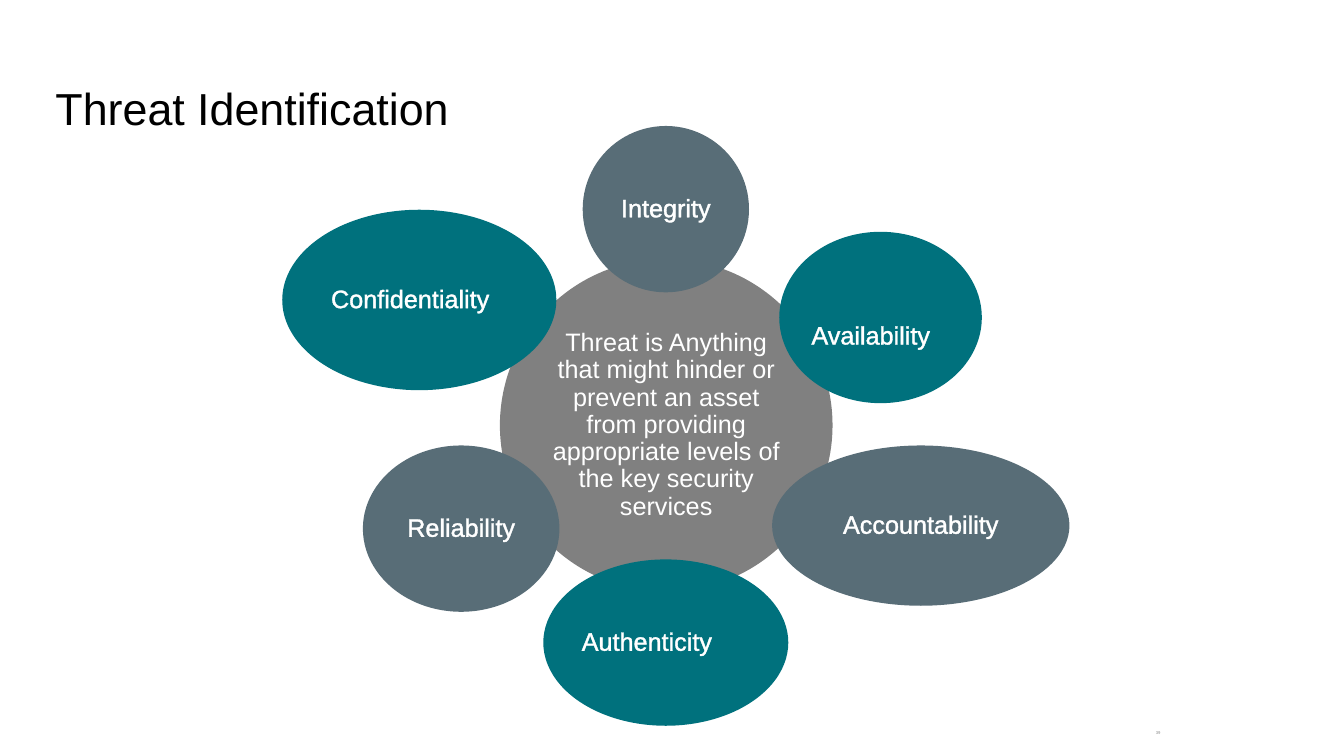
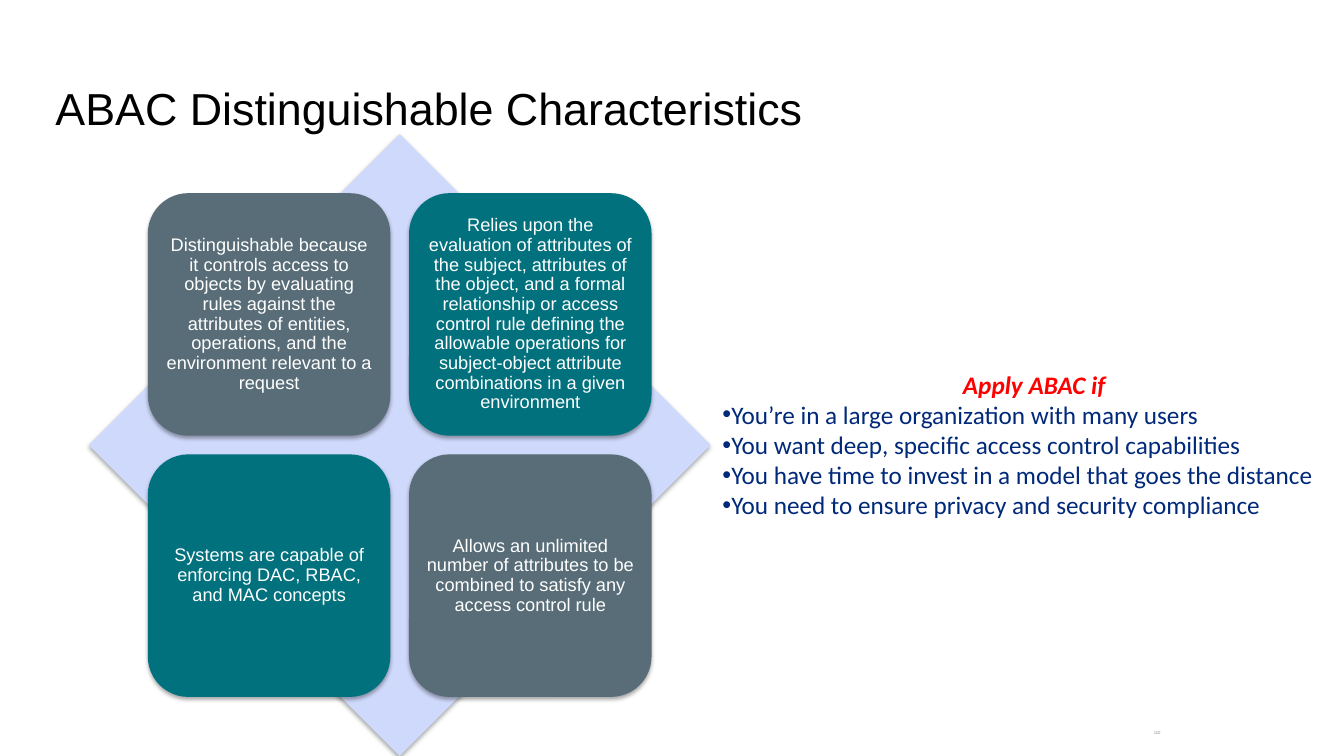
from dataclasses import dataclass

import pptx
import pptx.dml.color
import pptx.enum.shapes
import pptx.enum.text
import pptx.oxml
import pptx.oxml.ns
import pptx.util
from lxml import etree

Pt = pptx.util.Pt
RGB = pptx.dml.color.RGBColor
Align = pptx.enum.text.PP_ALIGN
Anchor = pptx.enum.text.MSO_ANCHOR
Preset = pptx.enum.shapes.MSO_SHAPE
qn = pptx.oxml.ns.qn


@dataclass(frozen=True)
class Theme:
    black: str = "000000"
    white: str = "FFFFFF"
    slate: str = "586D77"
    teal: str = "00717D"
    core: str = "808080"
    backdrop: str = "CFD9FB"
    page: str = "8C8C8C"
    warning: str = "FF0000"
    navy: str = "00297A"
    font: str = "Arial"
    advice_font: str = "Calibri"
    title_size: float = 32
    body_size: float = 18
    tile_size: float = 13
    page_size: float = 3


THEME = Theme()


@dataclass(frozen=True)
class Box:
    left: float
    top: float
    width: float
    height: float

    def lengths(self) -> tuple:
        return Pt(self.left), Pt(self.top), Pt(self.width), Pt(self.height)


@dataclass(frozen=True)
class Service:
    label: str
    box: Box
    color: str
    right_pad: float = 0
    top_pad: float = 0


@dataclass(frozen=True)
class Tile:
    text: str
    column: int
    row: int
    color: str


# Shared helpers
def style_run(run, size: float, color: str, font: str = THEME.font) -> None:
    run.font.size = Pt(size)
    run.font.name = font
    run.font.color.rgb = RGB.from_string(color)


def set_insets(frame, left: float, top: float, right: float, bottom: float) -> None:
    frame.margin_left, frame.margin_top = Pt(left), Pt(top)
    frame.margin_right, frame.margin_bottom = Pt(right), Pt(bottom)


def add_figure(slide, preset, box: Box, color: str):
    figure = slide.shapes.add_shape(preset, *box.lengths())
    figure.shadow.inherit = False
    figure.fill.solid()
    figure.fill.fore_color.rgb = RGB.from_string(color)
    figure.line.fill.background()
    return figure


def write_centered(figure, text: str, size: float, inset: float,
                   right_pad: float = 0, top_pad: float = 0):
    frame = figure.text_frame
    frame.word_wrap = True
    frame.vertical_anchor = Anchor.MIDDLE
    set_insets(frame, inset, inset + top_pad, inset + right_pad, inset)
    paragraph = frame.paragraphs[0]
    paragraph.text = text
    paragraph.alignment = Align.CENTER
    paragraph.line_spacing = 0.9
    style_run(paragraph.runs[0], size, THEME.white)
    return paragraph.runs[0]


def outline_letters(run, color: str, width: float) -> None:
    outline = etree.Element(qn("a:ln"), w=str(Pt(width)))
    fill = etree.SubElement(outline, qn("a:solidFill"))
    etree.SubElement(fill, qn("a:srgbClr"), val=color)
    run.font._element.insert(0, outline)


def drop_shadow(figure) -> None:
    effects = figure._element.spPr.find(qn("a:effectLst"))
    shadow = etree.SubElement(
        effects, qn("a:outerShdw"), blurRad=str(Pt(3.1)), dist=str(Pt(1.8)),
        dir="5400000", rotWithShape="0")
    color = etree.SubElement(shadow, qn("a:srgbClr"), val=THEME.black)
    etree.SubElement(color, qn("a:alpha"), val="35000")


def add_titled_slide(deck, title: str, page: str):
    slide = deck.slides.add_slide(deck.slide_layouts[5])
    heading = slide.shapes.title
    heading.left, heading.top, heading.width, heading.height = Box(32.4, 46.8, 894.24, 60.5).lengths()
    frame = heading.text_frame
    frame.text = title
    frame.auto_size = pptx.enum.text.MSO_AUTO_SIZE.NONE
    frame.vertical_anchor = Anchor.MIDDLE
    set_insets(frame, 7.2, 7.2, 7.2, 7.2)
    frame.paragraphs[0].alignment = Align.LEFT
    style_run(frame.paragraphs[0].runs[0], THEME.title_size, THEME.black)

    page_number = slide.shapes.add_textbox(*Box(787, 518.4, 49, 10.8).lengths()).text_frame
    page_number.text = page
    page_number.word_wrap = True
    page_number.vertical_anchor = Anchor.MIDDLE
    page_number.paragraphs[0].alignment = Align.RIGHT
    page_number.paragraphs[0].line_spacing = 0.8
    style_run(page_number.paragraphs[0].runs[0], THEME.page_size, THEME.page)
    return slide


# Slide 1: threat definition ringed by the security services
DEFINITION = ("Threat is Anything that might hinder or prevent an asset from providing "
              "appropriate levels of the key security services")
SERVICES = [
    Service("Integrity", Box(416.2, 90, 118.8, 118.8), THEME.slate),
    Service("Availability", Box(556.6, 165.6, 144.7, 122.4), THEME.teal, 14, 27),
    Service("Accountability", Box(551.5, 318.2, 212.4, 114.5), THEME.slate),
    Service("Authenticity", Box(388.1, 399.6, 175, 118.8), THEME.teal, 27),
    Service("Reliability", Box(259.2, 318.2, 140.4, 118.8), THEME.slate),
    Service("Confidentiality", Box(201.6, 149.8, 195.8, 128.9), THEME.teal, 13),
]


def build_threat_slide(deck) -> None:
    slide = add_titled_slide(deck, "Threat Identification", "39")
    core = add_figure(slide, Preset.OVAL, Box(357.1, 185, 237.6, 237.6), THEME.core)
    write_centered(core, DEFINITION, THEME.body_size, 2)
    for service in SERVICES:
        petal = add_figure(slide, Preset.OVAL, service.box, service.color)
        label = write_centered(petal, service.label, THEME.body_size, 2,
                               service.right_pad, service.top_pad)
        petal.text_frame.word_wrap = False
        outline_letters(label, THEME.white, 1.45)


# Slide 2: four characteristics over a diamond, with advice beside them
DIAMOND = Box(63.4, 95.8, 444.2, 444.2)
TILES = [
    Tile("Distinguishable because it controls access to objects by evaluating rules against "
         "the attributes of entities, operations, and the environment relevant to a request",
         0, 0, THEME.slate),
    Tile("Relies upon the evaluation of attributes of the subject, attributes of the object, "
         "and a formal relationship or access control rule defining the allowable operations "
         "for subject-object attribute combinations in a given environment",
         1, 0, THEME.teal),
    Tile("Systems are capable of enforcing DAC, RBAC, and MAC concepts", 0, 1, THEME.teal),
    Tile("Allows an unlimited number of attributes to be combined to satisfy any access "
         "control rule", 1, 1, THEME.slate),
]
ADVICE_HEADING = "Apply ABAC if"
ADVICE = [
    "You’re in a large organization with many users",
    "You want deep, specific access control capabilities",
    "You have time to invest in a model that goes the distance",
    "You need to ensure privacy and security compliance",
]


def tile_box(tile: Tile) -> Box:
    """Place a tile by its share of the diamond: margin, pitch and side."""
    margin, pitch, side = (DIAMOND.width * share for share in (0.095, 0.42, 0.39))
    return Box(DIAMOND.left + margin + tile.column * pitch,
               DIAMOND.top + margin + tile.row * pitch, side, side)


def add_bullet(paragraph) -> None:
    properties = paragraph._p.get_or_add_pPr()
    properties.set("marL", "0")
    properties.set("indent", "0")
    etree.SubElement(properties, qn("a:buFont"), typeface=THEME.font)
    etree.SubElement(properties, qn("a:buChar"), char="•")


def add_advice(slide) -> None:
    frame = slide.shapes.add_textbox(*Box(509, 259.9, 459.4, 116.6).lengths()).text_frame
    frame.word_wrap = True
    heading = frame.paragraphs[0]
    heading.text = ADVICE_HEADING
    heading.alignment = Align.CENTER
    style_run(heading.runs[0], THEME.body_size, THEME.warning, THEME.advice_font)
    heading.runs[0].font.bold = heading.runs[0].font.italic = True
    for condition in ADVICE:
        paragraph = frame.add_paragraph()
        add_bullet(paragraph)
        paragraph.text = condition
        style_run(paragraph.runs[0], THEME.body_size, THEME.navy, THEME.advice_font)


def build_abac_slide(deck) -> None:
    slide = add_titled_slide(deck, "ABAC Distinguishable Characteristics", "110")
    drop_shadow(add_figure(slide, Preset.DIAMOND, DIAMOND, THEME.backdrop))
    for tile in TILES:
        card = add_figure(slide, Preset.ROUNDED_RECTANGLE, tile_box(tile), tile.color)
        drop_shadow(card)
        write_centered(card, tile.text, THEME.tile_size, 3.6)
    add_advice(slide)


def main() -> None:
    deck = pptx.Presentation()
    deck.slide_width, deck.slide_height = Pt(960), Pt(540)
    build_threat_slide(deck)
    build_abac_slide(deck)
    deck.save("out.pptx")


if __name__ == "__main__":
    main()
